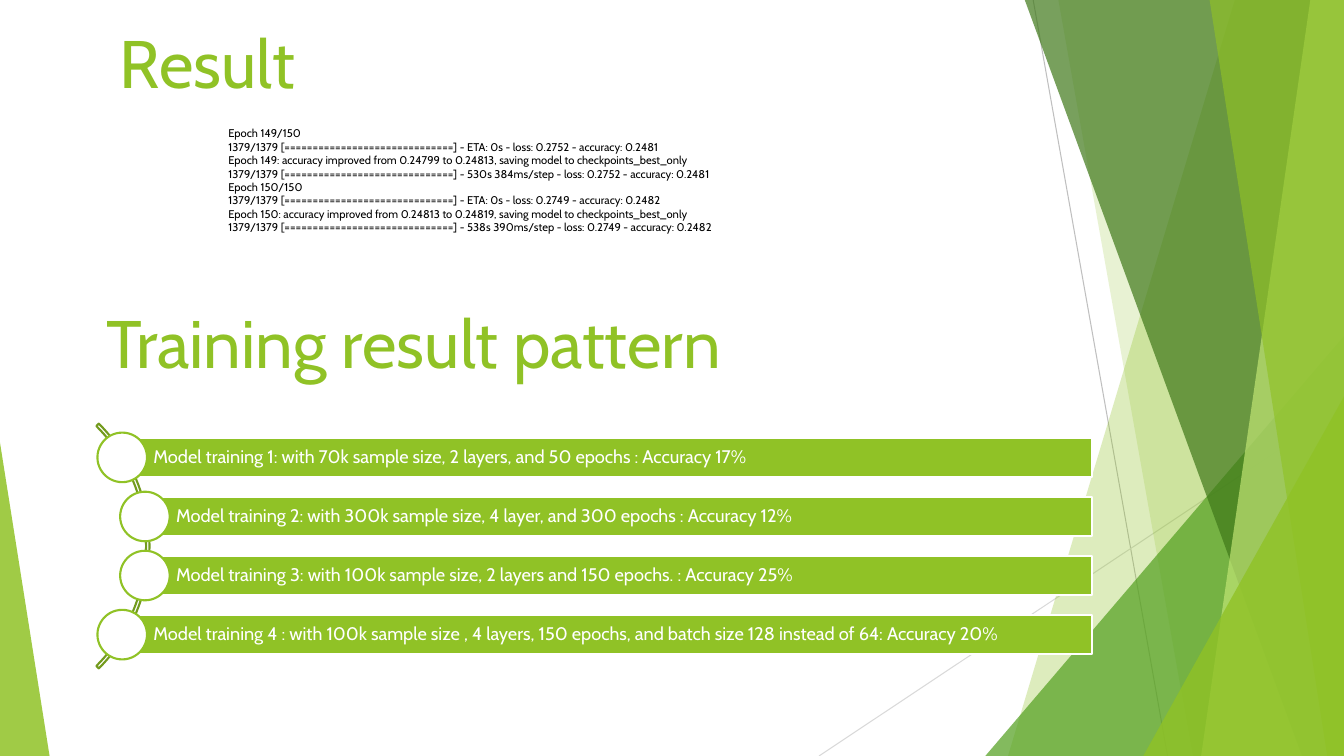
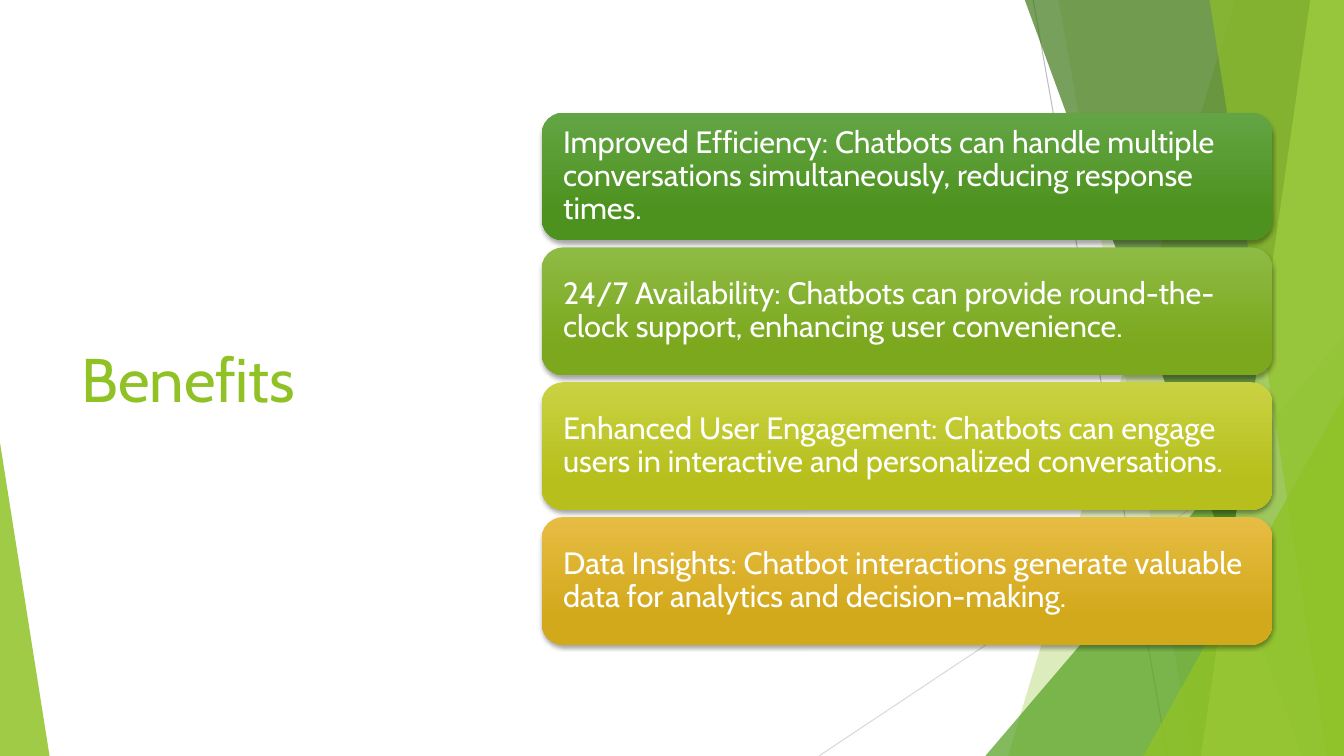
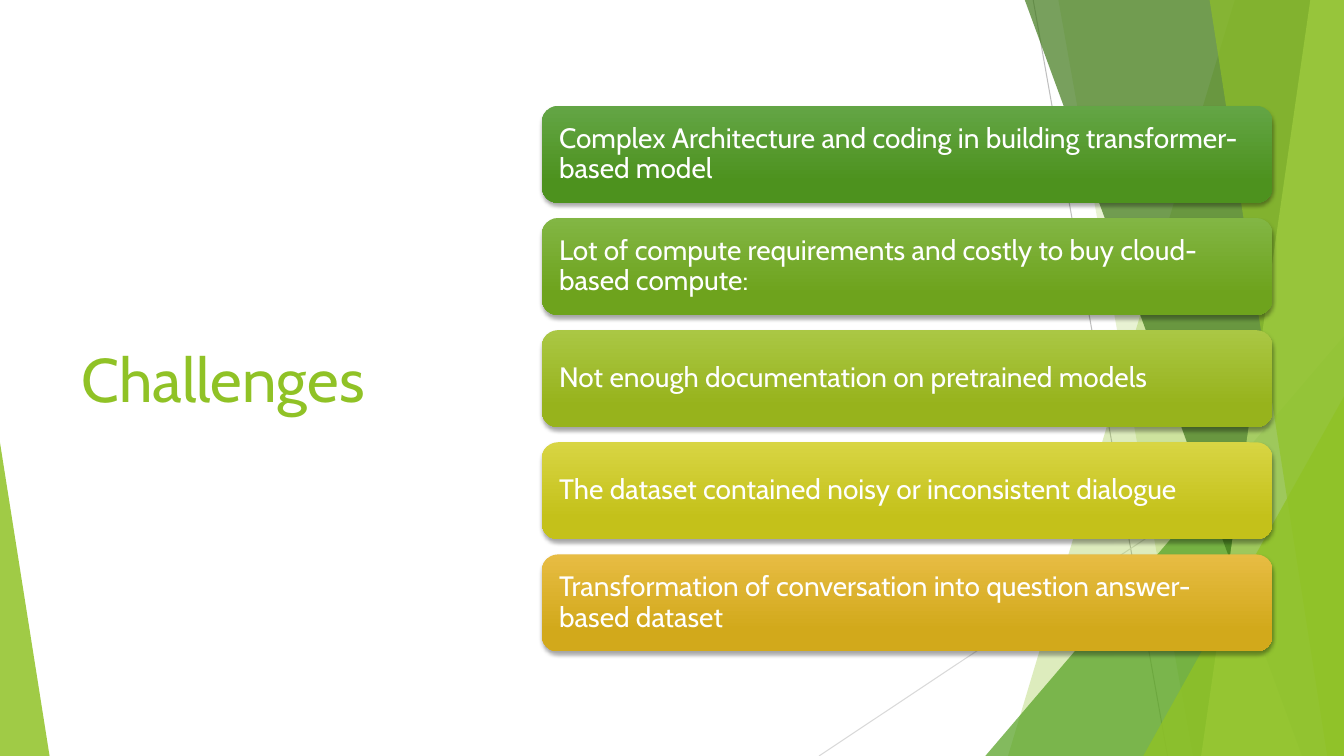
from lxml import etree
from pptx import Presentation
from pptx import util as u
from pptx.dml.color import RGBColor
from pptx.enum import shapes, text
from pptx.oxml.ns import qn

# Grid of 160 x 90 square cells
COLS, ROWS = 160, 90
CELL = u.Inches(1) // 12

FONT = "Cabin"
LIME = RGBColor(0x90, 0xC2, 0x26)
PALE_LIME = RGBColor(0xC0, 0xE4, 0x74)
GREEN = RGBColor(0x54, 0xA0, 0x21)
DARK_GREEN = RGBColor(0x3F, 0x78, 0x19)
OLIVE = RGBColor(0x73, 0x9B, 0x1E)
GREY = RGBColor(0xBF, 0xBF, 0xBF)
LIGHT_GREY = RGBColor(0xD9, 0xD9, 0xD9)
WHITE = RGBColor(0xFF, 0xFF, 0xFF)
BLACK = RGBColor(0x00, 0x00, 0x00)

# Card gradients, top and bottom colour
FOREST = RGBColor(0x63, 0xA5, 0x45), RGBColor(0x4D, 0x92, 0x1E)
LEAF = RGBColor(0x82, 0xB6, 0x44), RGBColor(0x6E, 0xA3, 0x1D)
GRASS = RGBColor(0x8E, 0xBB, 0x44), RGBColor(0x7B, 0xA8, 0x1D)
MOSS = RGBColor(0xAA, 0xC7, 0x44), RGBColor(0x97, 0xB3, 0x1C)
CITRUS = RGBColor(0xCA, 0xD2, 0x43), RGBColor(0xB6, 0xBF, 0x1B)
LEMON = RGBColor(0xD8, 0xD5, 0x43), RGBColor(0xC4, 0xC1, 0x1A)
AMBER = RGBColor(0xE7, 0xBC, 0x43), RGBColor(0xD2, 0xA9, 0x1B)

ANCHOR = text.MSO_ANCHOR
SHAPE = shapes.MSO_SHAPE

LOG = [
    "Epoch 149/150",
    "1379/1379 [==============================] - ETA: 0s - loss: 0.2752 - accuracy: 0.2481",
    "Epoch 149: accuracy improved from 0.24799 to 0.24813, saving model to checkpoints_best_only",
    "1379/1379 [==============================] - 530s 384ms/step - loss: 0.2752 - accuracy: 0.2481",
    "Epoch 150/150",
    "1379/1379 [==============================] - ETA: 0s - loss: 0.2749 - accuracy: 0.2482",
    "Epoch 150: accuracy improved from 0.24813 to 0.24819, saving model to checkpoints_best_only",
    "1379/1379 [==============================] - 538s 390ms/step - loss: 0.2749 - accuracy: 0.2482",
]
# Each training run: indent in cells, text
RUNS = [
    (0, "Model training 1: with 70k sample size, 2 layers, and 50 epochs : Accuracy 17%"),
    (2.7, "Model training 2: with 300k sample size, 4 layer, and 300 epochs : Accuracy 12%"),
    (2.7, "Model training 3: with 100k sample size, 2 layers and 150 epochs. : Accuracy 25%"),
    (0, "Model training 4 : with 100k sample size , 4 layers, 150 epochs, "
        "and batch size 128 instead of 64: Accuracy 20%"),
]
BENEFITS = [
    (FOREST, "Improved Efficiency: Chatbots can handle multiple conversations "
             "simultaneously, reducing response times."),
    (GRASS, "24/7 Availability: Chatbots can provide round-the-clock support, "
            "enhancing user convenience."),
    (CITRUS, "Enhanced User Engagement: Chatbots can engage users in interactive "
             "and personalized conversations."),
    (AMBER, "Data Insights: Chatbot interactions generate valuable data for "
            "analytics and decision-making."),
]
CHALLENGES = [
    (FOREST, "Complex Architecture and coding in building transformer-based model"),
    (LEAF, "Lot of compute requirements and costly to buy cloud-based compute:"),
    (MOSS, "Not enough documentation on pretrained models"),
    (LEMON, "The dataset contained noisy or inconsistent dialogue"),
    (AMBER, "Transformation of conversation into question answer-based dataset"),
]


def cells(*values):
    return [u.Emu(round(v * CELL)) for v in values]


def write(tf, lines, size, color=WHITE, anchor=ANCHOR.MIDDLE, spacing=None, insets=None):
    """Fill a text frame, one paragraph per line; insets are in cells."""
    tf.word_wrap = True
    tf.vertical_anchor = anchor
    if insets:
        tf.margin_left, tf.margin_top, tf.margin_right, tf.margin_bottom = cells(*insets)
    for i, line in enumerate(lines):
        p = tf.paragraphs[0] if i == 0 else tf.add_paragraph()
        p.alignment = text.PP_ALIGN.LEFT
        p.line_spacing = spacing
        r = p.add_run()
        r.text = line
        r.font.name, r.font.size = FONT, u.Pt(size)
        r.font.color.rgb = color


def text_box(s, box, lines, size, **fmt):
    write(s.shapes.add_textbox(*cells(*box)).text_frame, lines, size, **fmt)


def paint(sp, fill=None, alpha=100, line=None):
    sp.shadow.inherit = False
    if fill is None:
        sp.fill.background()
    else:
        sp.fill.solid()
        sp.fill.fore_color.rgb = fill
        if alpha < 100:
            clr = sp.fill._xPr.find(".//" + qn("a:srgbClr"))
            etree.SubElement(clr, qn("a:alpha"), val=str(alpha * 1000))
    if line is None:
        sp.line.fill.background()
    else:
        sp.line.color.rgb = line
        sp.line.width = u.Pt(1.5)


def add_shape(s, kind, box, **look):
    sp = s.shapes.add_shape(kind, *cells(*box))
    paint(sp, **look)
    return sp


def thin_line(s, start, end, color):
    sp = s.shapes.add_connector(shapes.MSO_CONNECTOR.STRAIGHT, *cells(*start, *end))
    sp.line.color.rgb = color
    sp.line.width = u.Pt(0.75)
    etree.SubElement(sp._element.spPr, qn("a:effectLst"))


def shard(s, top, bottom, color, alpha):
    """Full-height sheet from a slanted left edge to the right of the slide."""
    fb = s.shapes.build_freeform(top, 0, scale=CELL)
    fb.add_line_segments([(COLS, 0), (COLS, ROWS), (bottom, ROWS)], close=True)
    paint(fb.convert_to_shape(), fill=color, alpha=alpha)


def corner(s, left, top, width, color, alpha, peak=1):
    """Right triangle standing on the bottom edge."""
    sp = add_shape(s, SHAPE.ISOSCELES_TRIANGLE, (left, top, width, ROWS - top),
                   fill=color, alpha=alpha)
    sp.adjustments[0] = peak


def backdrop(s):
    thin_line(s, (123, 0), (139, ROWS), GREY)
    thin_line(s, (COLS, 48.4), (97.5, ROWS), LIGHT_GREY)
    shard(s, 147.4, 120.5, LIME, 30)
    shard(s, 126, 142, LIME, 20)
    corner(s, 117.3, 40, 42.7, GREEN, 72)
    shard(s, 122.5, 154.9, DARK_GREEN, 70)
    shard(s, 156.4, 143, PALE_LIME, 70)
    shard(s, 143.5, 158.2, LIME, 65)
    corner(s, 136.1, 47.2, 23.9, LIME, 80)
    corner(s, 0, 52.7, 5.9, LIME, 85, peak=0)


def title(s, box, words, size=48, anchor=ANCHOR.BOTTOM):
    text_box(s, box, [words], size, color=LIME, anchor=anchor)


def run_list(s, box, runs):
    """Bars with round markers along an arc."""
    x, y, w, h = box
    dot, bar, arc = 5.9, 4.7, 41.2
    pitch = (h - dot) / (len(runs) - 1)
    sp = add_shape(s, SHAPE.BLOCK_ARC,
                   (x + 6.2 - arc, y + (h - arc) / 2, arc, arc), line=OLIVE)
    for i, value in enumerate((189, 27, 0.01)):
        sp.adjustments[i] = value
    for i, (indent, words) in enumerate(runs):
        left, top = x + indent, y + i * pitch
        sp = add_shape(s, SHAPE.RECTANGLE,
                       (left + dot / 2, top + (dot - bar) / 2, w - indent - dot / 2, bar),
                       fill=LIME, line=WHITE)
        write(sp.text_frame, [words], 13, spacing=0.9, insets=(3.72, 0.5, 0.5, 0.5))
        add_shape(s, SHAPE.OVAL, (left, top, dot, dot), fill=WHITE, line=LIME)


def card_stack(s, box, cards, height, size, inset):
    """Equal gradient cards spread over the box height."""
    x, y, w, h = box
    pitch = (h - height) / (len(cards) - 1)
    for i, (colors, words) in enumerate(cards):
        sp = add_shape(s, SHAPE.ROUNDED_RECTANGLE, (x, y + i * pitch, w, height))
        sp.fill.gradient()
        sp.fill.gradient_angle = 270
        for stop, color, position in zip(sp.fill.gradient_stops, colors, (0, 0.78)):
            stop.color.rgb = color
            stop.position = position
        # Soft shadow below the card
        effects = sp._element.spPr.find(qn("a:effectLst"))
        shadow = etree.SubElement(effects, qn("a:outerShdw"), blurRad=str(u.Pt(3)),
                                  dist=str(u.Pt(2)), dir="5400000", rotWithShape="0")
        clr = etree.SubElement(shadow, qn("a:srgbClr"), val=str(BLACK))
        etree.SubElement(clr, qn("a:alpha"), val="35000")
        write(sp.text_frame, [words], size, spacing=0.9, insets=[inset] * 4)


def new_slide(prs):
    s = prs.slides.add_slide(prs.slide_layouts[6])
    backdrop(s)
    return s


def result_slide(prs):
    s = new_slide(prs)
    title(s, (11.5, 31.7, 108.7, 14.4), "Training result pattern")
    run_list(s, (11.6, 51.5, 118.4, 27), RUNS)
    title(s, (13.1, -1.7, 108.7, 14.4), "Result")
    text_box(s, (26, 14.5, 71.4, 14.2), LOG, 8, color=BLACK, anchor=ANCHOR.TOP)


def card_slide(prs, heading, top, cards, **fmt):
    s = new_slide(prs)
    title(s, (8.5, 18.1, 46.6, 53.8), heading, size=44, anchor=ANCHOR.MIDDLE)
    card_stack(s, (64.5, top, 87, ROWS - 2 * top + 0.15), cards, **fmt)


def main():
    prs = Presentation()
    prs.slide_width, prs.slide_height = cells(COLS, ROWS)
    result_slide(prs)
    card_slide(prs, "Benefits", 13.4, BENEFITS, height=15.2, size=22, inset=1.8)
    card_slide(prs, "Challenges", 12.6, CHALLENGES, height=11.55, size=20, inset=1.5)
    prs.save("out.pptx")


if __name__ == "__main__":
    main()
